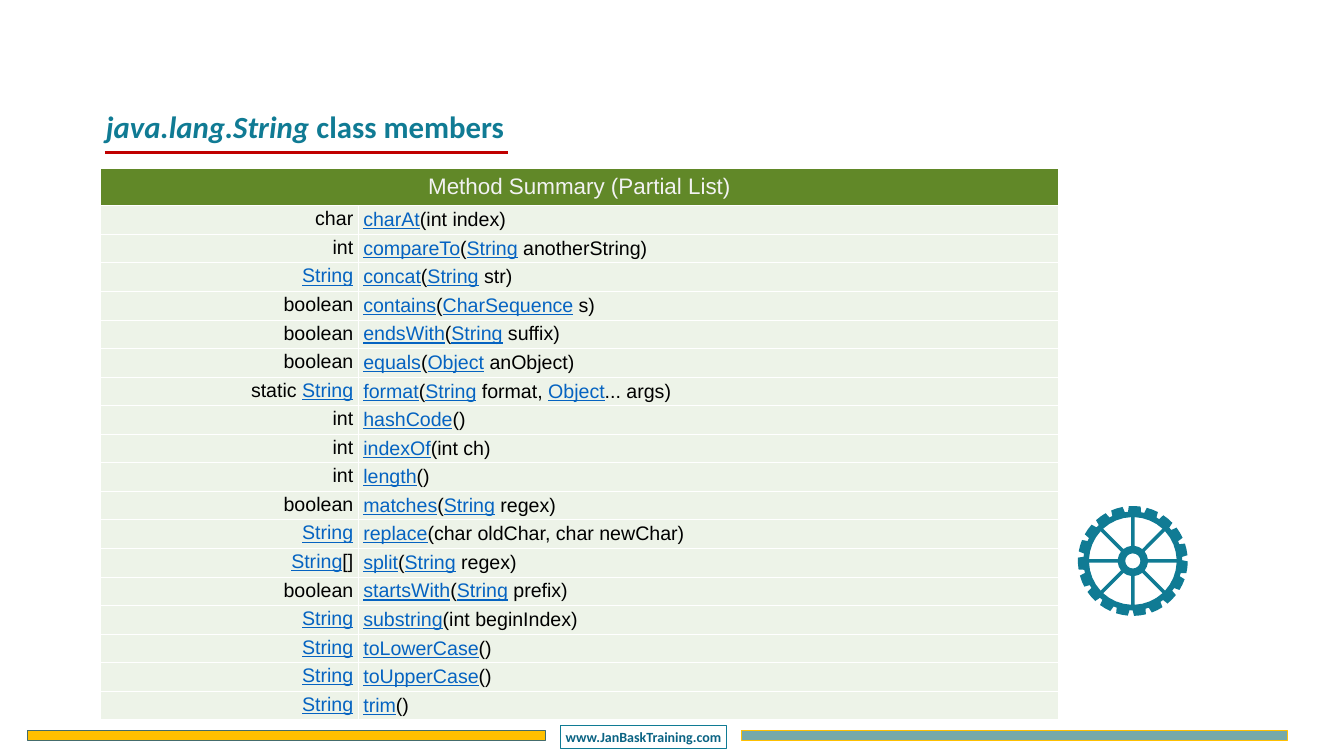
from math import asin, cos, degrees, radians, sin

from lxml import etree
from pptx import Presentation
from pptx.dml.color import RGBColor
from pptx.enum import shapes, text
from pptx.oxml import ns
from pptx.util import Inches, Pt

TEAL = RGBColor(0x10, 0x7B, 0x94)
DARK_TEAL = RGBColor(0x0A, 0x63, 0x83)
PALE_TEAL = RGBColor(0x76, 0xA9, 0xA9)
SLATE = RGBColor(0x44, 0x6C, 0x6C)
AMBER = RGBColor(0xFF, 0xC0, 0x00)
RED = RGBColor(0xC0, 0x00, 0x00)
GREEN = RGBColor(0x61, 0x88, 0x28)
PALE_GREEN = RGBColor(0xED, 0xF3, 0xE8)
OFF_WHITE = RGBColor(0xF2, 0xF2, 0xF2)
LINK_BLUE = RGBColor(0x05, 0x63, 0xC1)
BLACK = RGBColor(0x00, 0x00, 0x00)

# Linked names stand between bars.
METHODS = [
    ("char", "|charAt|(int index)"),
    ("int", "|compareTo|(|String| anotherString)"),
    ("|String|", "|concat|(|String| str)"),
    ("boolean", "|contains|(|CharSequence| s)"),
    ("boolean", "|endsWith|(|String| suffix)"),
    ("boolean", "|equals|(|Object| anObject)"),
    ("static |String|", "|format|(|String| format, |Object|... args)"),
    ("int", "|hashCode|()"),
    ("int", "|indexOf|(int ch)"),
    ("int", "|length|()"),
    ("boolean", "|matches|(|String| regex)"),
    ("|String|", "|replace|(char oldChar, char newChar)"),
    ("|String|[]", "|split|(|String| regex)"),
    ("boolean", "|startsWith|(|String| prefix)"),
    ("|String|", "|substring|(int beginIndex)"),
    ("|String|", "|toLowerCase|()"),
    ("|String|", "|toUpperCase|()"),
    ("|String|", "|trim|()"),
]


def add_span(para, words, size, color, font="Arial", bold=False, italic=False, underline=False):
    """Append one formatted run to a paragraph."""
    span = para.add_run()
    span.text = words
    span.font.name, span.font.size = font, Pt(size)
    span.font.bold, span.font.italic, span.font.underline = bold, italic, underline
    span.font.color.rgb = color


def add_bar(page, left, top, width, height, fill, line, weight):
    """Draw a flat rectangle, hollow when fill is None."""
    bar = page.shapes.add_shape(shapes.MSO_SHAPE.RECTANGLE, Inches(left), Inches(top),
                                Inches(width), Inches(height))
    bar.shadow.inherit = False
    if fill is None:
        bar.fill.background()
    else:
        bar.fill.solid()
        bar.fill.fore_color.rgb = fill
    bar.line.color.rgb = line
    bar.line.width = Pt(weight)
    return bar


def add_footer(page, left, top, width, height):
    """Place the two footer bars with the web address between them."""
    add_bar(page, left, top + 0.1, 10.28, 0.18, AMBER, SLATE, 1)
    add_bar(page, left + width - 10.83, top + 0.1, 10.83, 0.18, PALE_TEAL, AMBER, 1)
    label = add_bar(page, left + 10.58, top, 3.3, height, None, TEAL, 0.75)
    frame = label.text_frame
    frame.word_wrap = False
    para = frame.paragraphs[0]
    para.alignment = text.PP_ALIGN.CENTER
    add_span(para, "www.JanBaskTraining.com", 20, DARK_TEAL, "Calibri", bold=True)


def add_heading(page, left, top, width, height):
    """Fill the title placeholder and underline it with a red rule."""
    title = page.shapes.title
    title.left, title.top = Inches(left), Inches(top)
    title.width, title.height = Inches(width), Inches(height)
    frame = title.text_frame
    frame.word_wrap = True
    frame.auto_size = text.MSO_AUTO_SIZE.NONE
    frame.vertical_anchor = text.MSO_ANCHOR.TOP
    para = frame.paragraphs[0]
    para.alignment = text.PP_ALIGN.LEFT
    add_span(para, "java.lang.String", 44, TEAL, "Calibri", bold=True, italic=True)
    add_span(para, " class members", 44, TEAL, "Calibri", bold=True)

    rule_y = Inches(top + 0.94)
    rule = page.shapes.add_connector(shapes.MSO_CONNECTOR.STRAIGHT, Inches(left + 0.08), rule_y,
                                     Inches(left + 8.08), rule_y)
    rule.line.color.rgb = RED
    rule.line.width = Pt(4.5)
    etree.SubElement(rule._element.spPr, ns.qn("a:effectLst"))


def style_cell(cell, fill):
    """Give a cell thin white borders and a solid fill."""
    props = cell._tc.get_or_add_tcPr()
    for side in ("lnL", "lnR", "lnT", "lnB"):
        border = etree.SubElement(props, ns.qn(f"a:{side}"), w=str(Pt(1)))
        paint = etree.SubElement(border, ns.qn("a:solidFill"))
        etree.SubElement(paint, ns.qn("a:srgbClr"), val="FFFFFF")
    cell.fill.solid()
    cell.fill.fore_color.rgb = fill


def add_method_table(page, left, top, width, height):
    """Build the method summary with a merged header row."""
    header_height, type_width = 0.75, 5.11
    table = page.shapes.add_table(len(METHODS) + 1, 2, Inches(left), Inches(top),
                                  Inches(width), Inches(height)).table
    table.columns[0].width = Inches(type_width)
    table.columns[1].width = Inches(width - type_width)
    for row in table.rows:
        row.height = Inches((height - header_height) / len(METHODS))
    table.rows[0].height = Inches(header_height)

    header = table.cell(0, 0)
    header.merge(table.cell(0, 1))
    for column in range(2):
        style_cell(table.cell(0, column), GREEN)
    header.vertical_anchor = text.MSO_ANCHOR.MIDDLE
    para = header.text_frame.paragraphs[0]
    para.alignment = text.PP_ALIGN.CENTER
    add_span(para, "Method Summary (Partial List)", 32, OFF_WHITE)

    layout = ((text.PP_ALIGN.RIGHT, text.MSO_ANCHOR.TOP),
              (text.PP_ALIGN.LEFT, text.MSO_ANCHOR.MIDDLE))
    for row, method in enumerate(METHODS, start=1):
        for column, (words, (align, anchor)) in enumerate(zip(method, layout)):
            cell = table.cell(row, column)
            style_cell(cell, PALE_GREEN)
            cell.vertical_anchor = anchor
            para = cell.text_frame.paragraphs[0]
            para.alignment = align
            for index, part in enumerate(words.split("|")):
                linked = index % 2 == 1
                if part:
                    add_span(para, part, 28, LINK_BLUE if linked else BLACK, underline=linked)


def add_gear(page, left, top, size):
    """Draw a spoked gear wheel as one outline with holes."""
    radius = size / 2
    root, rim, hub, hole = radius - 0.11, radius - 0.22, 0.3, 0.15
    teeth, spokes, half_spoke = 19, 8, 0.035

    def point(distance, angle):
        """Return the point at a clockwise angle from the top."""
        turn = radians(angle)
        return (Inches(left + radius + distance * sin(turn)),
                Inches(top + radius - distance * cos(turn)))

    def arc(distance, start, end, steps):
        """Return evenly spaced points along an arc."""
        return [point(distance, start + (end - start) * step / steps)
                for step in range(steps + 1)]

    outline = []
    for tooth in range(teeth):
        middle = 2 + tooth * 360 / teeth
        outline += [point(root, middle - 7.6), *arc(radius, middle - 6.2, middle + 6.2, 2),
                    point(root, middle + 7.6)]
    contours = [outline, arc(hole, 0, 360, 16)]
    rim_gap, hub_gap = (degrees(asin(half_spoke / reach)) for reach in (rim, hub))
    for spoke in range(spokes):
        start, end = spoke * 360 / spokes, (spoke + 1) * 360 / spokes
        contours.append(arc(rim, start + rim_gap, end - rim_gap, 4)
                        + arc(hub, end - hub_gap, start + hub_gap, 2))

    builder = page.shapes.build_freeform(*outline[0])
    for index, contour in enumerate(contours):
        if index:
            builder.move_to(*contour[0])
        builder.add_line_segments(contour[1:], close=True)
    gear = builder.convert_to_shape()
    gear.shadow.inherit = False
    gear.fill.solid()
    gear.fill.fore_color.rgb = TEAL
    gear.line.fill.background()


def main():
    """Build and save the one-slide deck."""
    deck = Presentation()
    deck.slide_width, deck.slide_height = Inches(26.67), Inches(15)
    page = deck.slides.add_slide(deck.slide_layouts.get_by_name("Title Only"))
    add_footer(page, 0.54, 14.4, 25, 0.44)
    add_heading(page, 2, 2.08, 18.7, 1.97)
    add_gear(page, 21.39, 10.04, 2.18)
    add_method_table(page, 2, 3.33, 19, 10.95)
    deck.save("out.pptx")


if __name__ == "__main__":
    main()
